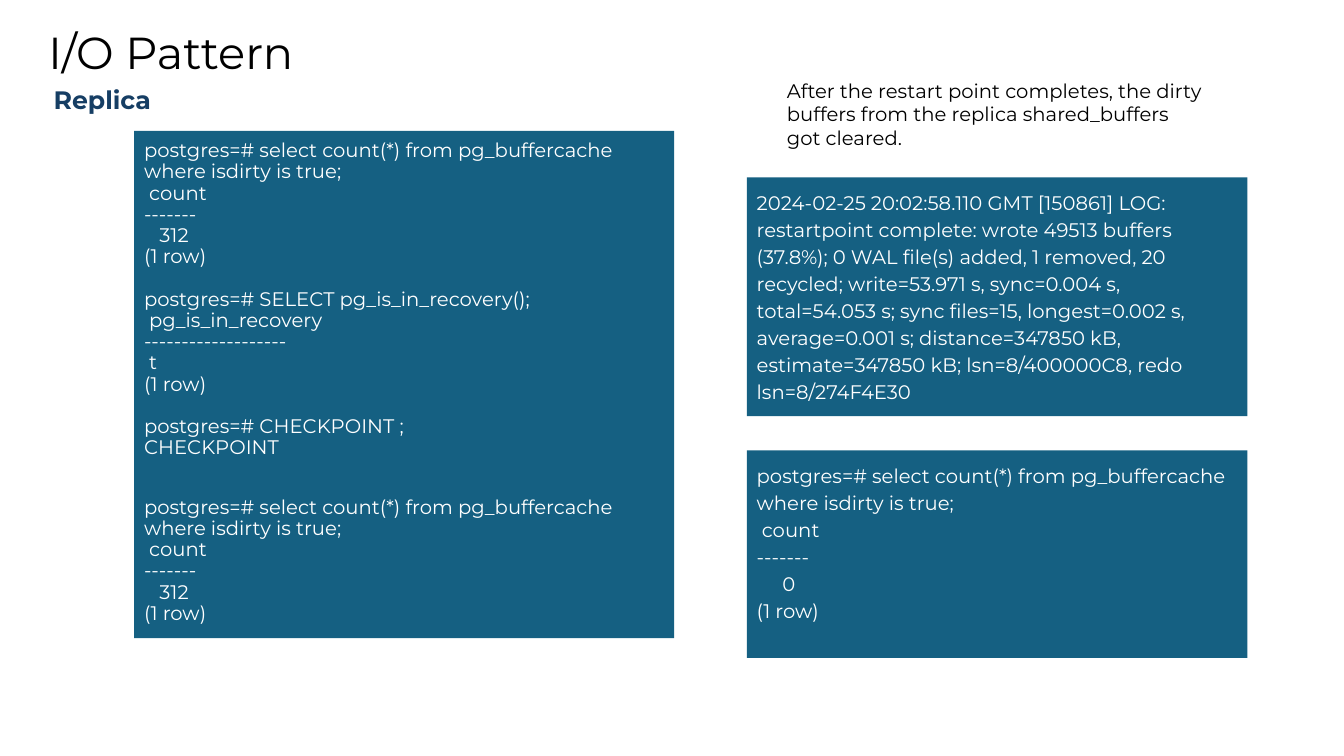
from pptx import Presentation
from pptx.dml.color import RGBColor
from pptx.enum.shapes import MSO_SHAPE as Shape
from pptx.enum.text import MSO_ANCHOR as Anchor, MSO_AUTO_SIZE as Fit, PP_ALIGN as Align
from pptx.util import Cm, Pt

QUERY = "postgres=# select count(*) from pg_buffercache where isdirty is true;"


def hue(code):
    return RGBColor.from_string(code)


def count(num, gap=0):
    return [(QUERY, gap), " count", "-------", num, "(1 row)"]


class Deck:
    """Hold the style and the current slide, and draw each kind of element."""

    font = "Montserrat"
    black, white, navy, teal = "000000", "FFFFFF", "163E64", "156082"

    def __init__(self, show):
        self.slide = show.slides.add_slide(show.slide_layouts[5])

    def place(self, shape, box):
        shape.left, shape.top, shape.width, shape.height = map(Cm, box)

    def fill_text(self, shape, lines, size, color, lead, inset=0.25, bold=False):
        frame = shape.text_frame
        frame.word_wrap = True
        frame.auto_size = Fit.NONE
        frame.vertical_anchor = Anchor.TOP
        frame.margin_left = frame.margin_right = Cm(inset)
        frame.margin_top = frame.margin_bottom = Cm(inset)
        for i, line in enumerate(lines):
            text, gap = line if isinstance(line, tuple) else (line, 0)
            para = frame.add_paragraph() if i else frame.paragraphs[0]
            para.alignment = Align.LEFT
            para.line_spacing = lead
            para.space_before = Pt(gap)
            run = para.add_run()
            run.text = text
            font = run.font
            font.name, font.size, font.bold = self.font, Pt(size), bold
            font.color.rgb = hue(color)

    def title(self, text, box):
        shape = self.slide.shapes.title
        self.place(shape, box)
        self.fill_text(shape, [text], 32, self.black, 0.9)

    def label(self, text, box, size, color, lead=1.0, **style):
        shape = self.slide.shapes.add_textbox(*map(Cm, box))
        self.fill_text(shape, [text], size, color, lead, **style)

    def panel(self, lines, box, lead):
        shape = self.slide.shapes.add_shape(Shape.RECTANGLE, *map(Cm, box))
        shape.shadow.inherit = False
        shape.fill.solid()
        shape.fill.fore_color.rgb = hue(self.teal)
        shape.line.fill.background()
        self.fill_text(shape, lines, 14, self.white, lead)


def main():
    show = Presentation()
    show.slide_width, show.slide_height = Cm(33.87), Cm(19.05)
    deck = Deck(show)
    deck.title("I/O Pattern", (0.97, 0.53, 10.64, 1.83))
    deck.label("Replica", (1.35, 2.21, 8.1, 0.69), 18, deck.navy, 0.9, inset=0, bold=True)

    row = 15.3
    session = count("   312") + [
        ("postgres=# SELECT pg_is_in_recovery();", row),
        " pg_is_in_recovery",
        "-------------------",
        " t",
        "(1 row)",
        ("postgres=# CHECKPOINT ;", row),
        "CHECKPOINT",
    ] + count("   312", row + 12)
    deck.panel(session, (3.38, 3.3, 13.61, 12.78), 0.9)

    log = (
        "2024-02-25 20:02:58.110 GMT [150861] LOG: restartpoint complete: "
        "wrote 49513 buffers (37.8%); 0 WAL file(s) added, 1 removed, 20 recycled; "
        "write=53.971 s, sync=0.004 s, total=54.053 s; sync files=15, "
        "longest=0.002 s, average=0.001 s; distance=347850 kB, "
        "estimate=347850 kB; lsn=8/400000C8, redo lsn=8/274F4E30"
    )
    left, width = 18.82, 12.62
    deck.panel([log], (left, 4.47, width, 6.02), 1.15)
    deck.panel(count("     0"), (left, 11.35, width, 5.23), 1.15)
    deck.label(
        "After the restart point completes, the dirty buffers from the replica "
        "shared_buffers got cleared.",
        (19.58, 1.73, 11.07, 2.31), 14, deck.black,
    )
    show.save("out.pptx")


if __name__ == "__main__":
    main()
